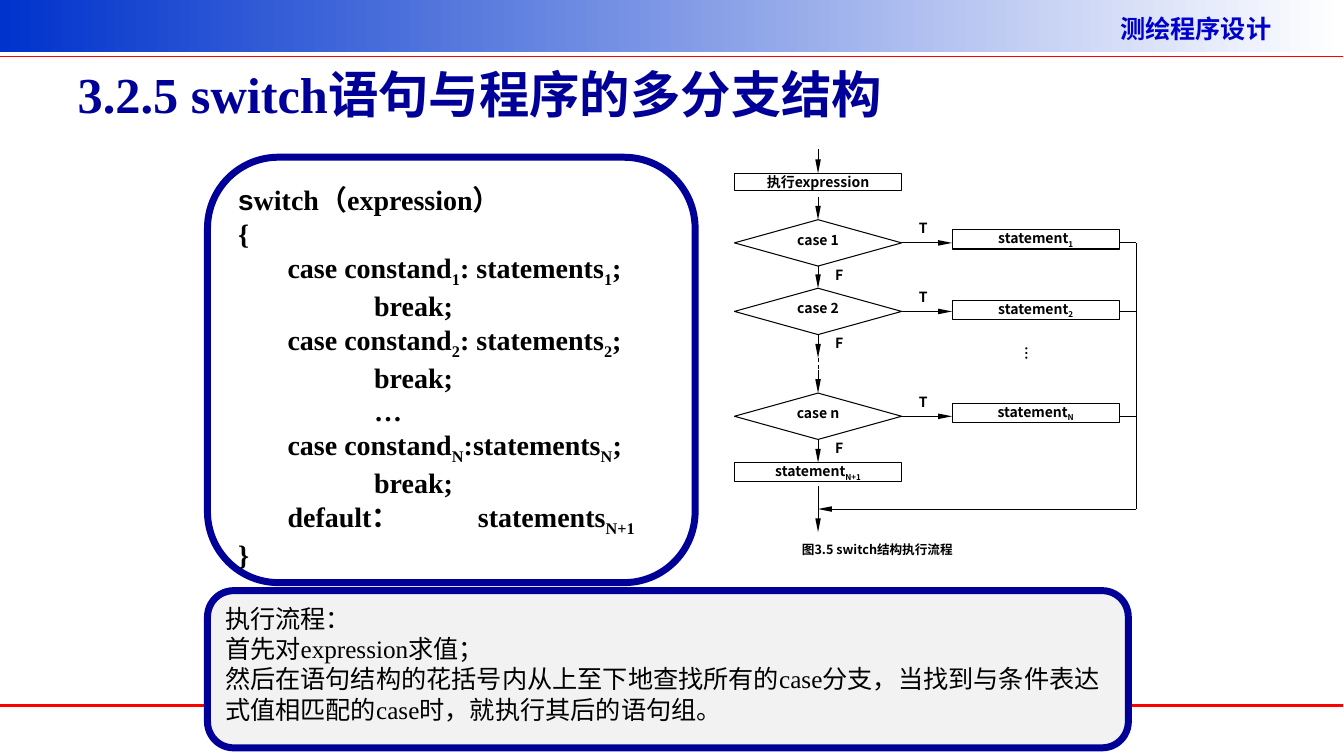
"""Build the slide on the switch statement and its flow chart."""
from dataclasses import dataclass

from lxml.etree import SubElement
from pptx import Presentation
from pptx.dml.color import RGBColor
from pptx.enum.dml import MSO_LINE
from pptx.enum.shapes import MSO_CONNECTOR, MSO_SHAPE
from pptx.enum.text import MSO_ANCHOR, MSO_AUTO_SIZE, PP_ALIGN
from pptx.oxml.ns import qn
from pptx.util import Pt

PX = 9144
TOP, LEFT, BOTTOM, RIGHT = range(4)


@dataclass(frozen=True)
class Theme:
    """Colours, fonts and type sizes of the slide."""
    navy: str = "000099"
    band: str = "0033CC"
    header: str = "0000CC"
    red: str = "FF0000"
    black: str = "000000"
    white: str = "FFFFFF"
    panel: str = "F2F2F2"
    serif: str = "Times New Roman"
    sans: str = "Noto Sans CJK SC"
    initial: str = "Arial"
    title_size: int = 36
    code_size: int = 20
    body_size: int = 18
    flow_size: int = 10
    caption_size: int = 9
    frame_line: float = 5
    rule_line: float = 2.25
    flow_line: float = 0.75


class SlideBuilder:
    """Draw styled elements on one slide, measured in px."""

    def __init__(self, slide, theme):
        """Keep the slide and its theme."""
        self.slide = slide
        self.shapes = slide.shapes
        self.theme = theme

    def fill_text(self, shape, lines, size, font, color=None, bold=True,
                  align=PP_ALIGN.LEFT, margins=(0, 0), tabs=()):
        """Fill a shape with paragraphs; text between tildes is subscript."""
        frame = shape.text_frame
        frame.word_wrap = True
        frame.auto_size = MSO_AUTO_SIZE.NONE
        frame.margin_left = frame.margin_right = margins[0] * PX
        frame.margin_top = frame.margin_bottom = margins[1] * PX
        for index, line in enumerate(lines):
            para = frame.add_paragraph() if index else frame.paragraphs[0]
            para.alignment = align
            para.font.size = Pt(size)
            para.font.name = font
            para.font.bold = bold
            para.font.color.rgb = RGBColor.from_string(color or self.theme.black)
            properties = para._p.get_or_add_pPr()
            defaults = properties.find(qn("a:defRPr"))
            SubElement(defaults, qn("a:ea"), typeface=self.theme.sans)
            if tabs:
                stops = SubElement(properties, qn("a:tabLst"))
                properties.insert(0, stops)
                for stop in tabs:
                    SubElement(stops, qn("a:tab"), pos=str(stop * PX), algn="l")
            for part, text in enumerate(line.split("~")):
                if text:
                    span = para.add_run()
                    span.text = text
                    if part % 2:
                        span.font._element.set("baseline", "-25000")

    def title(self, text, left, top, width, height):
        """Place and format the title placeholder."""
        title = self.shapes.title
        title.left, title.top = left * PX, top * PX
        title.width, title.height = width * PX, height * PX
        title.text_frame.vertical_anchor = MSO_ANCHOR.MIDDLE
        self.fill_text(title, [text], self.theme.title_size, self.theme.serif,
                       self.theme.navy, margins=(10, 5))

    def text(self, text, left, top, width, height, size, color=None,
             margins=(0, 0)):
        """Add a one-line text box in the sans font."""
        box = self.shapes.add_textbox(left * PX, top * PX, width * PX, height * PX)
        self.fill_text(box, [text], size, self.theme.sans, color, margins=margins)
        return box

    def box(self, kind, left, top, width, height, fill=None, line=None, weight=1):
        """Add a preset shape with plain fill and outline."""
        box = self.shapes.add_shape(kind, left * PX, top * PX, width * PX, height * PX)
        box.shadow.inherit = False
        box.text_frame.vertical_anchor = MSO_ANCHOR.TOP
        if fill:
            box.fill.solid()
            box.fill.fore_color.rgb = RGBColor.from_string(fill)
        else:
            box.fill.background()
        if line:
            box.line.color.rgb = RGBColor.from_string(line)
            box.line.width = Pt(weight)
        else:
            box.line.fill.background()
        return box

    def band(self, width, height):
        """Add the gradient band along the top edge."""
        band = self.box(MSO_SHAPE.RECTANGLE, 0, 0, width, height)
        band.fill.gradient()
        band.fill.gradient_angle = 0
        colors = (self.theme.band, self.theme.white)
        for stop, position, color in zip(band.fill.gradient_stops, (0, 1), colors):
            stop.position = position
            stop.color.rgb = RGBColor.from_string(color)

    def panel(self, lines, top, width, height, size, bold, fill=None, tabs=()):
        """Add a rounded text panel with the thick navy frame."""
        panel = self.box(MSO_SHAPE.ROUNDED_RECTANGLE, 206, top, width, height, fill,
                         self.theme.navy, self.theme.frame_line)
        self.fill_text(panel, lines, size, self.theme.serif, bold=bold,
                       margins=(10, 5), tabs=tabs)
        return panel

    def node(self, kind, text, left, top, height):
        """Add a flow chart node."""
        node = self.box(kind, left, top, 166, height, self.theme.white,
                        self.theme.black, self.theme.flow_line)
        self.fill_text(node, [text], self.theme.flow_size, self.theme.sans,
                       align=PP_ALIGN.CENTER)
        return node

    def line(self, start, end, color=None, weight=None, arrow=False, dash=False,
             begin=None, finish=None):
        """Add a straight line, joined to (shape, side) pairs where given."""
        line = self.shapes.add_connector(
            MSO_CONNECTOR.STRAIGHT, *(value * PX for value in start + end))
        line.line.color.rgb = RGBColor.from_string(color or self.theme.black)
        line.line.width = Pt(weight or self.theme.flow_line)
        if dash:
            line.line.dash_style = MSO_LINE.DASH
        if arrow:
            SubElement(line.line._get_or_add_ln(), qn("a:tailEnd"),
                       type="triangle", w="sm", len="lg")
        SubElement(line._element.spPr, qn("a:effectLst"))
        if begin:
            line.begin_connect(*begin)
        if finish:
            line.end_connect(*finish)


def draw_flow_chart(builder):
    """Draw the flow chart of the switch statement."""
    size = builder.theme.flow_size
    process, decision = MSO_SHAPE.FLOWCHART_PROCESS, MSO_SHAPE.FLOWCHART_DECISION
    axis, node_left, statement_left, rail, merge = 812, 729, 945, 1128, 505

    expression = builder.node(process, "执行expression", node_left, 172, 17)
    last = builder.node(process, "statement~N+1~", node_left, 459, 19)
    cases = []
    for mark, top, statement_top in (("1", 218, 228), ("2", 286, 298), ("n", 390, 400)):
        case = builder.node(decision, f"case {mark}", node_left, top, 46)
        builder.node(process, f"statement~{mark.upper()}~", statement_left,
                     statement_top, 19)
        middle = top + 23
        builder.line((895, middle), (statement_left, middle), arrow=True,
                     begin=(case, RIGHT))
        builder.line((statement_left + 166, middle), (rail, middle))
        builder.text("T", 912, top, 17, 17, size)
        builder.text("F", 829, top + 46, 17, 17, size)
        cases.append(case)

    first, second, final = cases
    for start, end, begin, finish in (
            (148, 172, None, (expression, TOP)),
            (195, 218, None, (first, TOP)),
            (264, 286, (first, BOTTOM), (second, TOP)),
            (332, 355, (second, BOTTOM), None),
            (367, 390, None, (final, TOP)),
            (436, 459, (final, BOTTOM), (last, TOP)),
            (482, 528, None, None)):
        builder.line((axis, start), (axis, end), arrow=True, begin=begin, finish=finish)
    builder.line((axis, 355), (axis, 378), dash=True)
    builder.line((rail, 241), (rail, merge))
    builder.line((rail, merge), (axis, merge), arrow=True)

    dots = builder.text("…", 995, 344, 33, 34, size)
    dots.text_frame._txBody.bodyPr.set("vert", "eaVert")
    builder.text("图3.5 switch结构执行流程", 796, 538, 216, 15, builder.theme.caption_size)


def main():
    """Build and save the deck."""
    theme = Theme()
    deck = Presentation()
    deck.slide_width, deck.slide_height = 1334 * PX, 750 * PX
    builder = SlideBuilder(deck.slides.add_slide(deck.slide_layouts[5]), theme)

    builder.band(1333, 52)
    builder.text("测绘程序设计", 1102, 8, 220, 40, theme.body_size, theme.header, (10, 5))
    builder.line((0, 700), (1333, 700), theme.red, theme.rule_line)
    builder.line((0, 56), (1333, 56), theme.red, 1)
    builder.title("3.2.5 switch语句与程序的多分支结构", 67, 30, 1200, 125)

    code = builder.panel(
        ["s~~witch（expression）", "{",
         "\tcase constand~1~: statements~1~;", "\t\tbreak;",
         "\tcase constand~2~: statements~2~;", "\t\tbreak;", "\t\t…",
         "\tcase constand~N~:statements~N~;", "\t\tbreak;",
         "\tdefault：\tstatements~N+1~", "}"],
        156, 484, 422, theme.code_size, True, tabs=(49, 135, 238))
    code.text_frame.paragraphs[0].runs[0].font.name = theme.initial
    builder.panel(
        ["执行流程：", "首先对expression求值；",
         "然后在语句结构的花括号内从上至下地查找所有的case分支，"
         "当找到与条件表达式值相匹配的case时，就执行其后的语句组。"],
        586, 914, 156, theme.body_size, False, theme.panel)

    draw_flow_chart(builder)
    deck.save("out.pptx")


if __name__ == "__main__":
    main()
